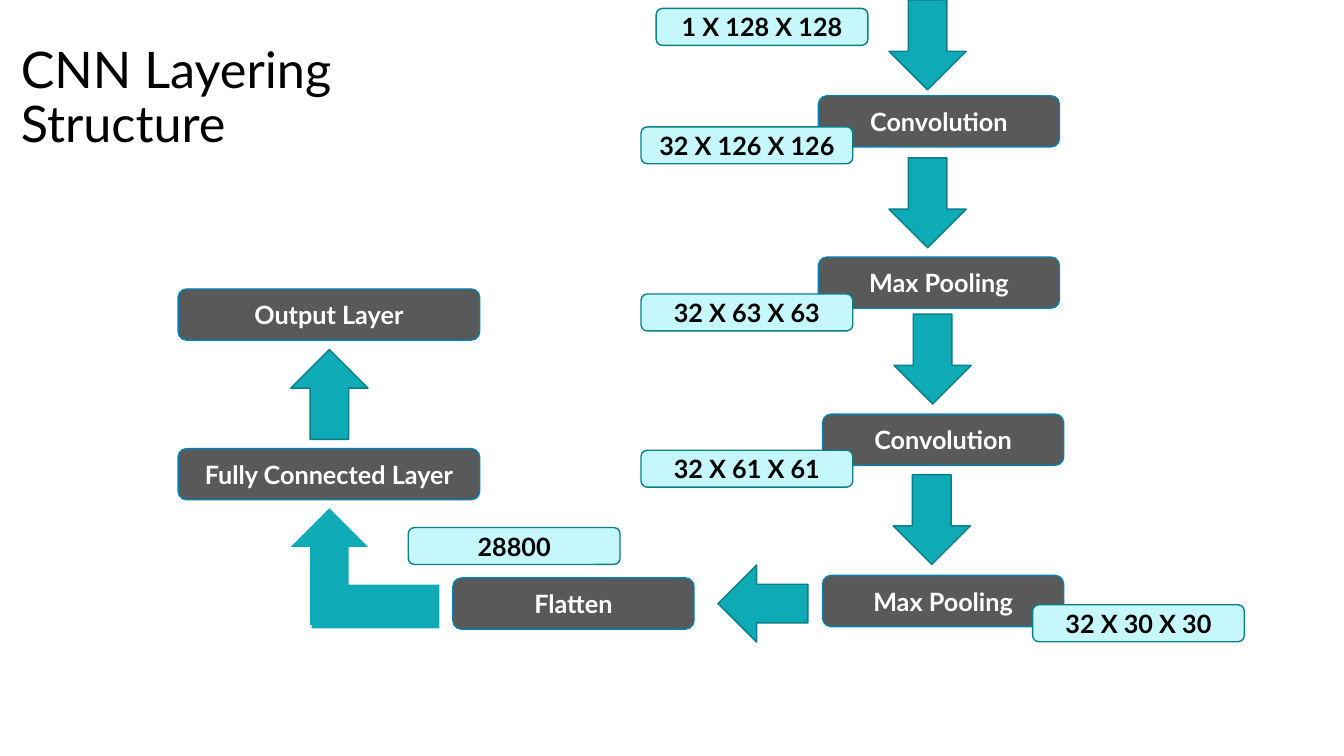
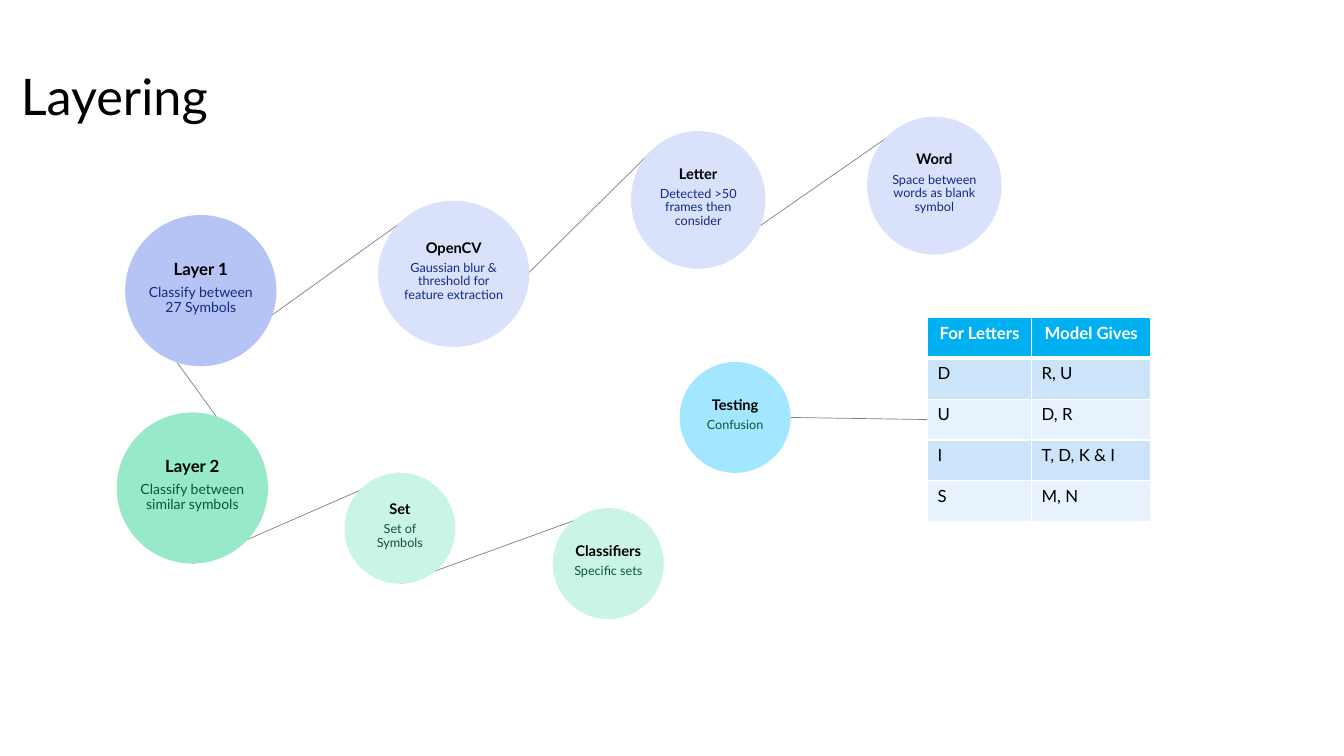
from dataclasses import dataclass

from lxml.etree import SubElement
from pptx import Presentation
from pptx.dml.color import RGBColor as Rgb
from pptx.enum.shapes import MSO_CONNECTOR as Link, MSO_SHAPE as Kind
from pptx.enum.text import MSO_ANCHOR as Anchor, PP_ALIGN as Align
from pptx.oxml import parse_xml
from pptx.oxml.ns import nsdecls, qn
from pptx.util import Inches, Pt

CELL = Inches(1) / 12  # the slide is a grid of 160 columns and 90 rows


@dataclass(frozen=True)
class Theme:
    font: str = "Lato"
    black: str = "000000"
    white: str = "FFFFFF"
    teal: str = "0EABB7"
    edge: str = "0A7F87"
    pale: str = "C5F7FB"
    step: str = "595959"
    rim: str = "0082B2"
    wire: str = "808080"
    blue: str = "B6C3F5"
    sky: str = "DAE1FA"
    navy: str = "132A84"
    green: str = "96EACA"
    mint: str = "CAF5E5"
    pine: str = "105239"
    aqua: str = "A3E6FF"
    head: str = "00B0F0"
    bands: tuple = ("CCE4F9", "E7F2FC")
    title: float = 36
    label: float = 18
    body: float = 12
    large: tuple = (12, 10)
    small: tuple = (10.5, 9)


T = Theme()


@dataclass(frozen=True)
class Box:
    """Region measured in grid cells."""
    x: float
    y: float
    w: float
    h: float

    def cut(self, x, y, w, h):
        """Return a box offset from this one's top left corner."""
        return Box(self.x + x, self.y + y, w, h)

    def port(self, across, down):
        """Return a point given as shares of the box."""
        return self.x + across * self.w, self.y + down * self.h

    def emu(self):
        return [round(n * CELL) for n in (self.x, self.y, self.w, self.h)]


def write(frame, text, size=T.body, color=T.black, bold=False,
          align=Align.LEFT, lead=None, after=None):
    """Add a paragraph, using the empty first one if there is one."""
    para = frame.paragraphs[0]
    if para.text:
        para = frame.add_paragraph()
    para.alignment = align
    if lead:
        para.line_spacing = lead
    if after:
        para.space_after = Pt(after)
    run = para.add_run()
    run.text = text
    font = run.font
    font.name, font.size, font.bold = T.font, Pt(size), bold
    font.color.rgb = Rgb.from_string(color)


def draw(slide, kind, box, fill, edge=None, turn=0):
    shape = slide.shapes.add_shape(kind, *box.emu())
    shape.shadow.inherit = False
    shape.rotation = turn
    shape.fill.solid()
    shape.fill.fore_color.rgb = Rgb.from_string(fill)
    if edge:
        shape.line.color.rgb = Rgb.from_string(edge)
        shape.line.width = Pt(1)
    else:
        shape.line.fill.background()
    frame = shape.text_frame
    frame.word_wrap = True
    frame.vertical_anchor = Anchor.MIDDLE
    return shape


def head(slide, text, box):
    frame = slide.shapes.add_textbox(*box.emu()).text_frame
    frame.word_wrap = True
    frame.vertical_anchor = Anchor.MIDDLE
    write(frame, text, size=T.title, lead=0.9)


def step(slide, text, box):
    shape = draw(slide, Kind.ROUNDED_RECTANGLE, box, T.step, T.rim)
    write(shape.text_frame, text, size=T.label, color=T.white, bold=True,
          align=Align.CENTER)


def tag(slide, text, box):
    shape = draw(slide, Kind.ROUNDED_RECTANGLE, box, T.pale, T.edge)
    write(shape.text_frame, text, size=T.label, bold=True,
          align=Align.CENTER)


def arrow(slide, box, turn=0, edge=T.edge):
    draw(slide, Kind.DOWN_ARROW, box, T.teal, edge, turn)


def tower(slide, box):
    """Draw the downward column of layers with their output sizes."""
    rows = [
        ("Convolution", 21.1, 11.4, 29.5, 0),
        ("Max Pooling", 21.1, 30.6, 29.5, 18.8),
        ("Convolution", 21.6, 49.3, 30.1, 37.4),
        ("Max Pooling", 21.6, 68.5, 30, 56.5),
    ]
    for name, left, top, tip, start in rows:
        arrow(slide, box.cut(tip, start, 9.2, 10.7))
        step(slide, name, box.cut(left, top, 28.7, 6.1))
    sizes = [
        ("1 X 128 X 128", 1.8, 1),
        ("32 X 126 X 126", 0, 15.1),
        ("32 X 63 X 63", 0, 35),
        ("32 X 61 X 61", 0, 53.6),
        ("32 X 30 X 30", 46.6, 72),
    ]
    for text, left, top in sizes:
        tag(slide, text, box.cut(left, top, 25.2, 4.4))


def branch(slide, box):
    """Draw the path from flattening up to the output."""
    arrow(slide, box.cut(65, 32.1, 9.2, 10.7), turn=90)
    step(slide, "Flatten", box.cut(32.7, 34.4, 28.7, 6.1))
    arrow(slide, box.cut(13.4, 26.1, 9.2, 13.9), turn=180, edge=None)
    draw(slide, Kind.RECTANGLE, box.cut(15.9, 35.2, 15.2, 5.2), T.teal)
    arrow(slide, box.cut(13.4, 7.2, 9.2, 10.7), turn=180)
    for name, top in (("Fully Connected Layer", 19), ("Output Layer", 0)):
        step(slide, name, box.cut(0, top, 35.9, 6.1))
    tag(slide, "28800", box.cut(27.4, 28.4, 25.2, 4.4))


def wire(slide, start, end):
    ends = [round(n * CELL) for n in (*start, *end)]
    line = slide.shapes.add_connector(Link.STRAIGHT, *ends)
    line.line.color.rgb = Rgb.from_string(T.wire)
    line.line.width = Pt(0.5)
    SubElement(line._element.spPr, qn("a:effectLst"))


def bubble(slide, box, name, note, fill, ink, sizes):
    frame = draw(slide, Kind.OVAL, box, fill).text_frame
    frame.margin_left = frame.margin_right = frame.margin_top = Inches(0.01)
    frame.margin_bottom = Inches(0.06)
    looks = ((name, T.black, True), (note, ink, False))
    for (text, color, bold), size in zip(looks, sizes):
        write(frame, text, size=size, color=color, bold=bold,
              align=Align.CENTER, lead=0.9, after=0.35 * size)


def web(slide, box, goal):
    """Draw the linked bubbles, the last one leading to the goal box."""
    nodes = [
        ("Layer 1", "Classify between 27 Symbols",
         (1, 11.7, 18, 18), T.blue, T.navy, T.large),
        ("OpenCV", "Gaussian blur & threshold for feature extraction",
         (31.1, 10, 18, 17.4), T.sky, T.navy, T.small),
        ("Layer 2", "Classify between similar symbols",
         (0, 35.2, 18, 18), T.green, T.pine, T.large),
        ("Set", "Set of Symbols",
         (27.1, 42.4, 13.2, 13.2), T.mint, T.pine, T.small),
        ("Classifiers", "Specific sets",
         (51.9, 46.6, 13.2, 13.2), T.mint, T.pine, T.small),
        ("Letter", "Detected >50 frames then consider",
         (61.2, 1.7, 16, 16.4), T.sky, T.navy, T.small),
        ("Word", "Space between words as blank symbol",
         (89.3, 0, 16, 16.4), T.sky, T.navy, T.small),
        ("Testing", "Confusion",
         (67, 29.2, 13.2, 13.2), T.aqua, T.pine, T.small),
    ]
    spots = {node[0]: box.cut(*node[2]) for node in nodes}
    spots["goal"] = goal
    top, low, left, right = (0.5, 0), (0.5, 1), (0, 0.5), (1, 0.5)
    slant = (0.15, 0.15)
    links = [
        ("Set", low, "Classifiers", top),
        ("Layer 2", low, "Set", top),
        ("Letter", low, "Word", slant),
        ("OpenCV", low, "Letter", slant),
        ("Layer 1", low, "OpenCV", slant),
        ("Layer 1", left, "Layer 2", right),
        ("Testing", right, "goal", left),
    ]
    for start, out, end, into in links:
        wire(slide, spots[start].port(*out), spots[end].port(*into))
    for name, note, _, fill, ink, sizes in nodes:
        bubble(slide, spots[name], name, note, fill, ink, sizes)


def rule(cell, base):
    """Give a cell white borders, the bottom one and top one as wide as asked."""
    props = cell._tc.get_or_add_tcPr()
    for spot, (side, width) in enumerate(zip("LRTB", (1, 1, *base))):
        props.insert(spot, parse_xml(
            f'<a:ln{side} {nsdecls("a")} w="{Pt(width)}"><a:solidFill>'
            f'<a:srgbClr val="{T.white}"/></a:solidFill></a:ln{side}>'))


def grid(slide, box):
    """Draw the table of letters the model confuses."""
    rows = [("For Letters", "Model Gives"), ("D", "R, U"), ("U", "D, R"),
            ("I", "T, D, K & I"), ("S", "M, N")]
    table = slide.shapes.add_table(len(rows), 2, *box.emu()).table
    for col, share in zip(table.columns, (0.465, 0.535)):
        col.width = round(box.w * share * CELL)
    for r, row in enumerate(rows):
        table.rows[r].height = round(box.h / len(rows) * CELL)
        for c, text in enumerate(row):
            cell = table.cell(r, c)
            cell.fill.solid()
            fill = T.bands[(r - 1) % 2] if r else T.head
            cell.fill.fore_color.rgb = Rgb.from_string(fill)
            rule(cell, (3 if r == 1 else 1, 1 if r else 3))
            write(cell.text_frame, text, bold=not r,
                  color=T.black if r else T.white,
                  align=Align.LEFT if r else Align.CENTER)


def layers(slide):
    head(slide, "CNN Layering Structure", Box(1.3, 3.1, 62.2, 17.4))
    branch(slide, Box(21.2, 34.4, 74.2, 42.8))
    tower(slide, Box(76.3, 0, 71.8, 76.4))


def stages(slide):
    spot = Box(110.4, 37.8, 26.6, 24.3)
    web(slide, Box(13.9, 13.9, 105.3, 59.8), spot)
    head(slide, "Layering", Box(1.3, 3.1, 40.8, 17.4))
    grid(slide, spot)


def main():
    deck = Presentation()
    deck.slide_width, deck.slide_height = Inches(13.33), Inches(7.5)
    for build in (layers, stages):
        build(deck.slides.add_slide(deck.slide_layouts[6]))
    deck.save("out.pptx")


if __name__ == "__main__":
    main()
